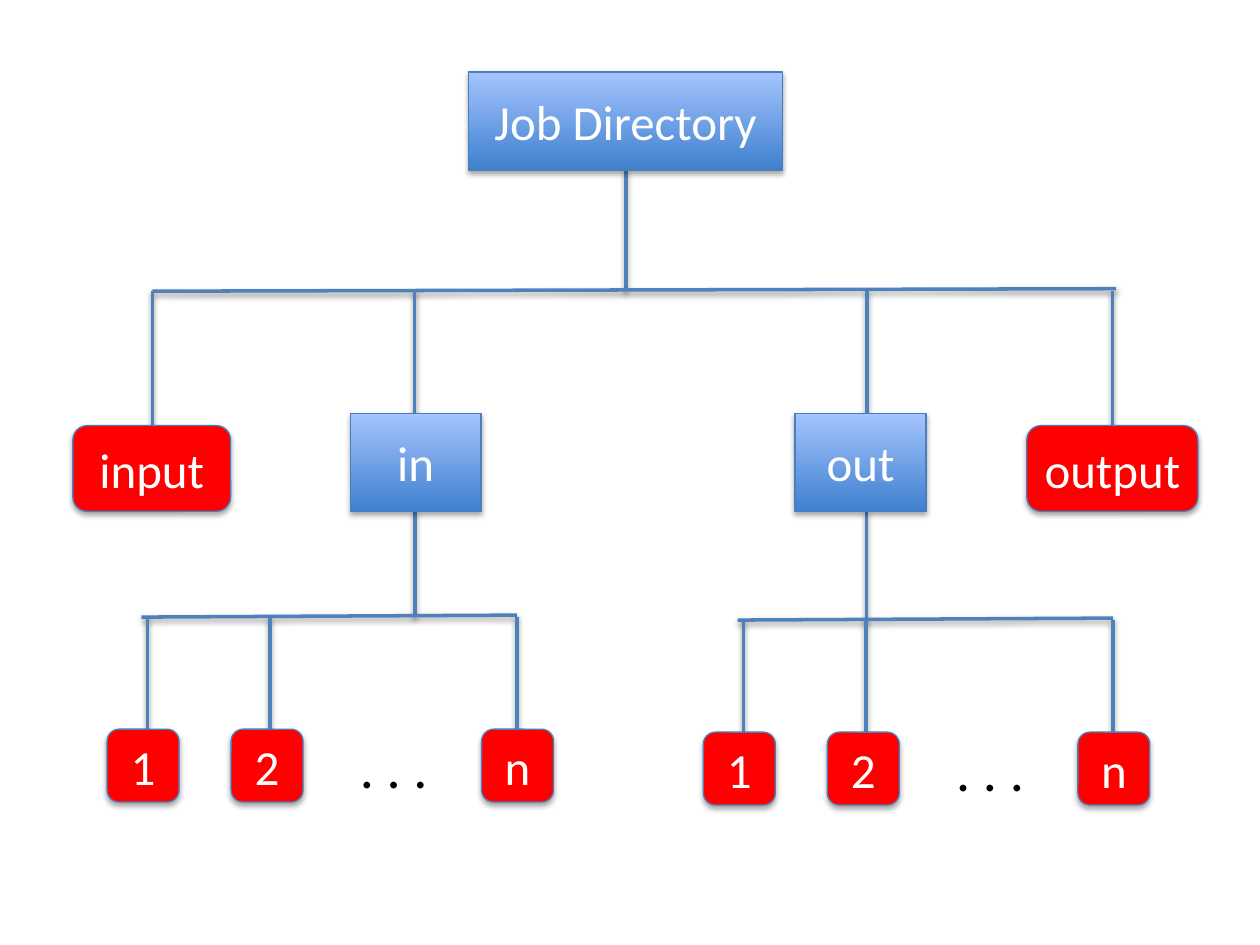
from pptx import Presentation
from pptx.dml.color import RGBColor
from pptx.enum.shapes import MSO_CONNECTOR, MSO_SHAPE
from pptx.enum.text import MSO_ANCHOR, PP_ALIGN
from pptx.oxml import parse_xml
from pptx.oxml.ns import nsdecls
from pptx.util import Cm, Pt

STRAIGHT = MSO_CONNECTOR.STRAIGHT
FOLDER, FILE = MSO_SHAPE.RECTANGLE, MSO_SHAPE.ROUNDED_RECTANGLE
MIDDLE, CENTER = MSO_ANCHOR.MIDDLE, PP_ALIGN.CENTER

COLORS = {name: RGBColor.from_string(value) for name, value in {
    "branch": "4F81BD", "border": "4B7EBC", "file": "FF0000",
    "folder dark": "3F80CE", "folder light": "A4C4FF",
    "label": "FFFFFF", "dots": "000000"}.items()}
SHADOW = (
    '<a:effectLst %s><a:outerShdw blurRad="40000" dist="%d" dir="5400000" rotWithShape="0">'
    '<a:srgbClr val="000000"><a:alpha val="%d"/></a:srgbClr></a:outerShdw></a:effectLst>')


def finish(item, color, width, distance, alpha):
    """Give a shape or connector its line and its drop shadow."""
    item.line.color.rgb = COLORS[color]
    item.line.width = Pt(width)
    item._element.spPr.append(parse_xml(SHADOW % (nsdecls("a"), distance, alpha)))


def write(box, text, size, color):
    """Write one centred label into a box."""
    frame = box.text_frame
    frame.text = text
    frame.word_wrap = True
    frame.vertical_anchor = MIDDLE
    para = frame.paragraphs[0]
    para.alignment = CENTER
    font = para.runs[0].font
    font.name, font.size, font.color.rgb = "Calibri", Pt(size), COLORS[color]


deck = Presentation()
deck.slide_width, deck.slide_height = Cm(25.4), Cm(19.05)
page = deck.slides.add_slide(deck.slide_layouts[6])

# Top level: trunk, crossbar and one stem for each child
BAR_TOP, STEM_END = 5.87, 8.58
branches = [(12.62, 3.43, 12.62, BAR_TOP), (3.07, BAR_TOP, 22.5, 5.82)]
for center in (3.07, 8.36, 17.48, 22.43):
    branches.append((center, BAR_TOP, center, STEM_END))

nodes = [
    ("Job Directory", FOLDER, 9.45, 1.45, 6.32, 1.98),
    ("in", FOLDER, 7.06, 8.33, 2.64, 1.98),
    ("out", FOLDER, 16.03, 8.33, 2.64, 1.98),
    ("input", FILE, 1.47, 8.58, 3.18, 1.73),
    ("output", FILE, 20.7, 8.58, 3.45, 1.73),
]

# Numbered files under each folder: left edge, top, trunk position
LEAF_WIDTH, LEAF_HEIGHT = 1.45, 1.47
groups = [(2.16, 14.7, 8.37), (14.18, 14.76, 17.47)]
for left, top, trunk in groups:
    bar = top - 2.26
    branches.append((trunk, 10.31, trunk, bar))
    branches.append((left + 0.69, bar, left + 8.26, bar - 0.04))
    for label, offset, stem in (("1", 0, 0.81), ("2", 2.5, 3.28), ("n", 7.55, 8.26)):
        branches.append((left + stem, bar, left + stem, top + 0.46))
        nodes.append((label, FILE, left + offset, top, LEAF_WIDTH, LEAF_HEIGHT))

for ends in branches:
    branch = page.shapes.add_connector(STRAIGHT, *map(Cm, ends))
    finish(branch, "branch", 2, 20000, 38000)

for label, kind, *place in nodes:
    node = page.shapes.add_shape(kind, *map(Cm, place))
    if kind == FOLDER:
        node.fill.gradient()
        node.fill.gradient_angle = 90
        for stop, name in zip(node.fill.gradient_stops, ("folder dark", "folder light")):
            stop.color.rgb = COLORS[name]
    else:
        node.fill.solid()
        node.fill.fore_color.rgb = COLORS["file"]
    finish(node, "border", 0.75, 23000, 35000)
    write(node, label, 28, "label")

for left, top, trunk in groups:
    dots = page.shapes.add_textbox(Cm(left + 4.27), Cm(top), Cm(3.02), Cm(LEAF_HEIGHT))
    write(dots, ". . .", 32, "dots")

deck.save("out.pptx")
